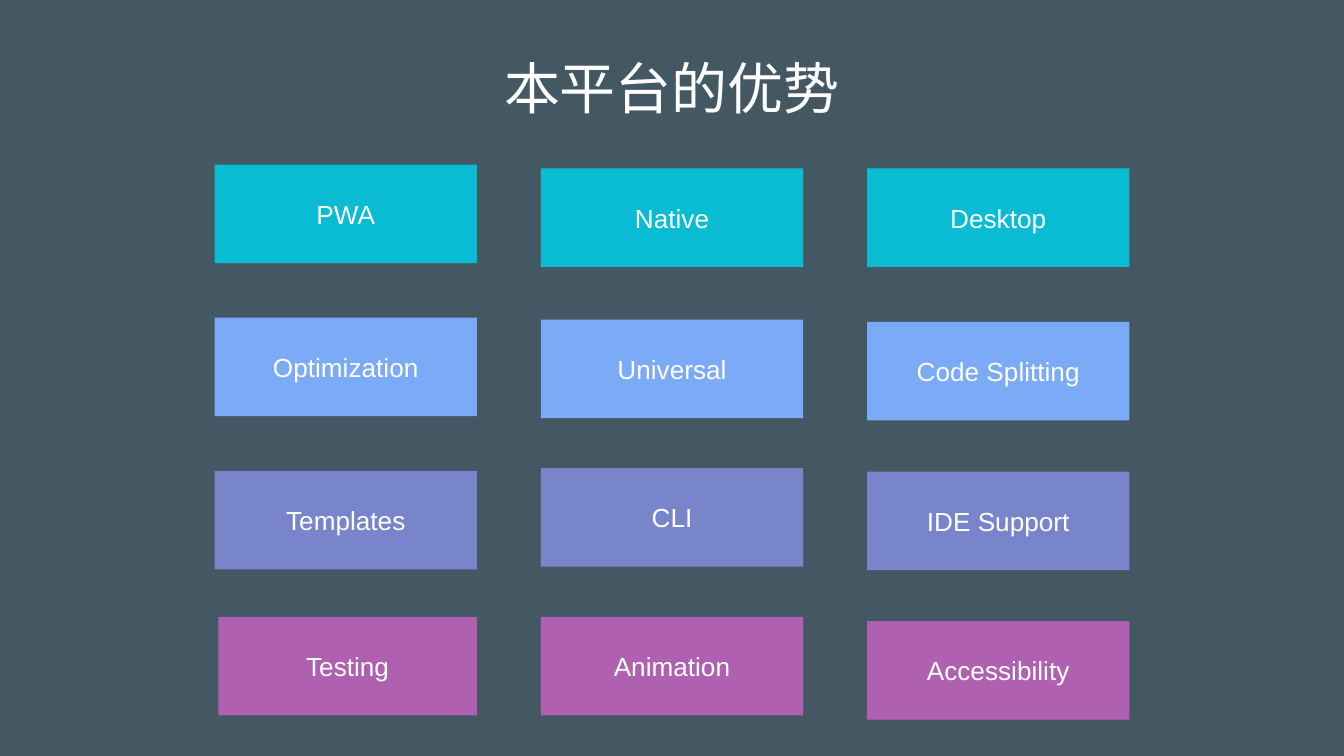
from pptx import Presentation
from pptx.dml.color import RGBColor
from pptx.enum.shapes import MSO_SHAPE
from pptx.enum.text import MSO_ANCHOR, PP_ALIGN
from pptx.util import Pt

SLATE = RGBColor(0x44, 0x58, 0x63)
WHITE = RGBColor(0xFF, 0xFF, 0xFF)
CYAN = RGBColor(0x09, 0xBC, 0xD3)
BLUE = RGBColor(0x7B, 0xAA, 0xF7)
INDIGO = RGBColor(0x78, 0x85, 0xCA)
PURPLE = RGBColor(0xB0, 0x60, 0xB0)

# Each tile: label, top within the grid, trim of its left edge
ROWS = [
    (CYAN, [("PWA", 0, 0), ("Native", 2, 0), ("Desktop", 2, 0)]),
    (BLUE, [("Optimization", 82, 0), ("Universal", 83, 0),
            ("Code Splitting", 84.2, 0)]),
    (INDIGO, [("Templates", 164, 0), ("CLI", 162.6, 0),
              ("IDE Support", 164.5, 0)]),
    (PURPLE, [("Testing", 242.3, 2), ("Animation", 242.3, 0),
              ("Accessibility", 244.6, 0)]),
]
TILE_W, TILE_H = 140.5, 52.8


def set_text(shape, text, font, size):
    frame = shape.text_frame
    frame.text = text
    frame.word_wrap = True
    frame.vertical_anchor = MSO_ANCHOR.MIDDLE
    frame.margin_left = frame.margin_right = Pt(7.2)
    frame.margin_top = frame.margin_bottom = Pt(7.2)
    para = frame.paragraphs[0]
    para.alignment = PP_ALIGN.CENTER
    run = para.runs[0]
    run.font.name = font
    run.font.size = Pt(size)
    run.font.color.rgb = WHITE


def add_title(slide, left, top, width, height):
    box = slide.shapes.add_textbox(Pt(left), Pt(top), Pt(width), Pt(height))
    set_text(box, "本平台的优势", "Roboto", 30)


def add_grid(slide, left, top, width):
    step = (width - TILE_W) / 2
    for color, tiles in ROWS:
        for col, (label, drop, trim) in enumerate(tiles):
            tile = slide.shapes.add_shape(
                MSO_SHAPE.RECTANGLE,
                Pt(left + col * step + trim), Pt(top + drop),
                Pt(TILE_W - trim), Pt(TILE_H))
            tile.shadow.inherit = False
            tile.fill.solid()
            tile.fill.fore_color.rgb = color
            tile.line.fill.background()
            set_text(tile, label, "Arial", 14)


def main():
    deck = Presentation()
    deck.slide_width, deck.slide_height = Pt(720), Pt(405)
    slide = deck.slides.add_slide(deck.slide_layouts[6])
    slide.background.fill.solid()
    slide.background.fill.fore_color.rgb = SLATE

    # Heading
    add_title(slide, 24.5, 24, 671, 45.1)
    # Feature tiles, three to a row
    add_grid(slide, 115, 88.2, 490)

    deck.save("out.pptx")


if __name__ == "__main__":
    main()
